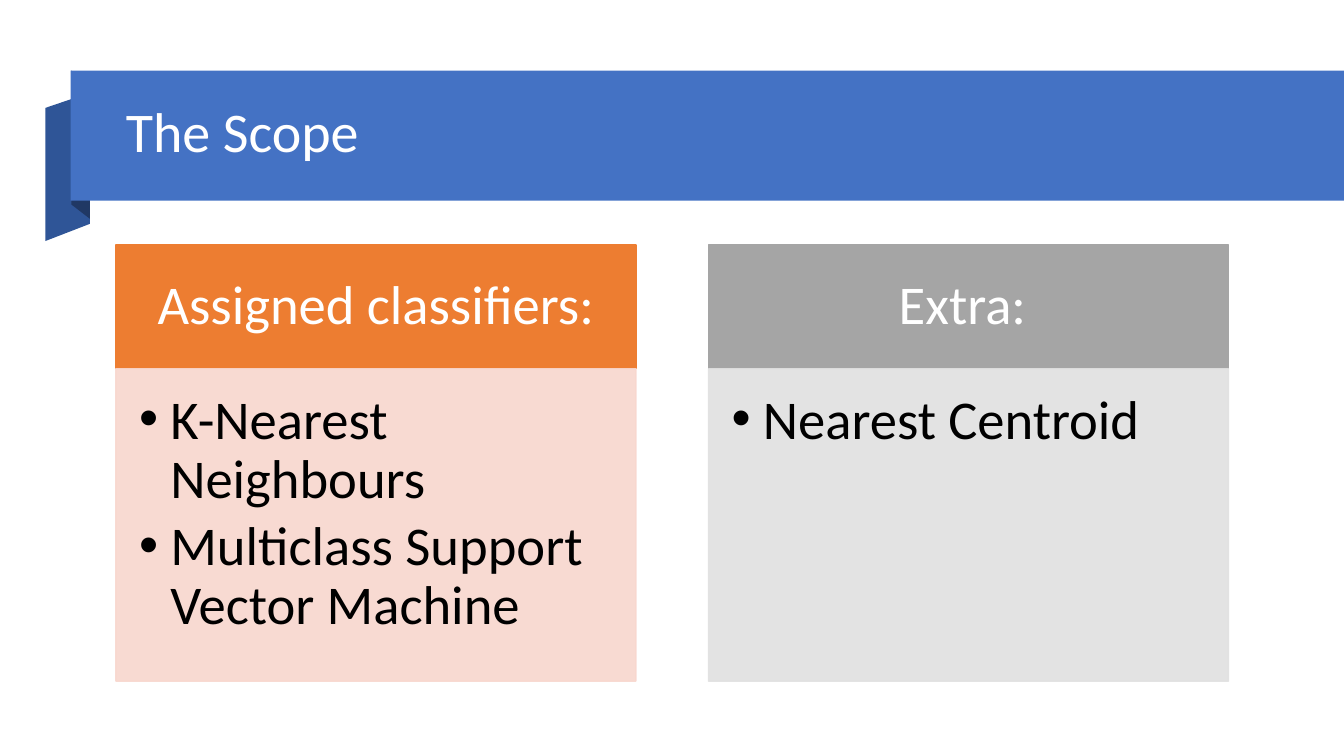
from dataclasses import dataclass

from lxml import etree
from pptx import Presentation
from pptx.dml.color import RGBColor
from pptx.enum.shapes import MSO_SHAPE
from pptx.enum.text import MSO_ANCHOR, PP_ALIGN
from pptx.oxml.ns import qn
from pptx.util import Inches, Pt

RECT = MSO_SHAPE.RECTANGLE
TOP, MIDDLE = MSO_ANCHOR.TOP, MSO_ANCHOR.MIDDLE
LEFT, CENTER = PP_ALIGN.LEFT, PP_ALIGN.CENTER
COLS, ROWS = 32, 18


@dataclass(frozen=True)
class Theme:
    font: str = "Calibri"
    title: int = 40
    text: int = 39
    white: str = "FFFFFF"
    black: str = "000000"
    ribbon: str = "4472C4"
    fold: str = "2F5597"
    shade: str = "203864"
    orange: str = "ED7D31"
    peach: str = "F8D7CE"
    gray: str = "A5A5A5"
    silver: str = "E1E1E1"


class Deck:
    """Draw styled elements on one slide, placed in grid columns and rows."""

    def __init__(self, theme):
        self.theme = theme
        self.file = Presentation()
        self.file.slide_width = Inches(13.33)
        self.file.slide_height = Inches(7.5)
        self.slide = self.file.slides.add_slide(self.file.slide_layouts[6])
        self.shapes = self.slide.shapes

    def spot(self, col, row):
        return (round(self.file.slide_width * col / COLS),
                round(self.file.slide_height * row / ROWS))

    def paint(self, shape, color, edge=False, alpha=None):
        shape.shadow.inherit = False
        fills = [shape.fill]
        if edge:
            shape.line.width = Pt(1)
            fills.append(shape.line.fill)
        else:
            shape.line.fill.background()
        for fill in fills:
            fill.solid()
            fill.fore_color.rgb = RGBColor.from_string(color)
        if alpha:
            for tint in shape.element.spPr.iter(qn("a:srgbClr")):
                etree.SubElement(tint, qn("a:alpha"), val=str(alpha * 1000))

    def outline(self, points, color):
        first, *rest = [self.spot(*point) for point in points]
        pen = self.shapes.build_freeform(*first)
        pen.add_line_segments(rest, close=True)
        self.paint(pen.convert_to_shape(), color)

    def box(self, col, row, wide, high, color, **look):
        shape = self.shapes.add_shape(
            RECT, *self.spot(col, row), *self.spot(wide, high))
        self.paint(shape, color, **look)
        return shape

    def label(self, col, row, wide, high):
        return self.shapes.add_textbox(
            *self.spot(col, row), *self.spot(wide, high))

    def set_text(self, shape, lines, size, color, pad,
                 align=LEFT, anchor=MIDDLE, bullet=False):
        frame = shape.text_frame
        frame.word_wrap = True
        frame.vertical_anchor = anchor
        (frame.margin_left, frame.margin_top,
         frame.margin_right, frame.margin_bottom) = map(Inches, pad)
        for i, line in enumerate(lines):
            para = frame.add_paragraph() if i else frame.paragraphs[0]
            para.alignment = align
            para.line_spacing = 0.9
            if bullet:
                para.space_after = Pt(6)
                self.mark(para)
            run = para.add_run()
            run.text = line
            run.font.name = self.theme.font
            run.font.size = Pt(size)
            run.font.color.rgb = RGBColor.from_string(color)

    def mark(self, para):
        props = para._p.get_or_add_pPr()
        props.set("marL", str(Inches(0.31)))
        props.set("indent", str(Inches(-0.31)))
        etree.SubElement(props, qn("a:buFont"), typeface="Arial")
        etree.SubElement(props, qn("a:buChar"), char="•")

    def card(self, col, head, items, dark, pale):
        top = self.box(col, 5.83, 12.38, 2.95, dark, edge=True)
        self.set_text(top, [head], self.theme.text, self.theme.white,
                      (0.3, 0.17, 0.3, 0.17), align=CENTER)
        body = self.box(col, 8.78, 12.38, 7.44, pale, edge=True, alpha=90)
        self.set_text(body, items, self.theme.text, self.theme.black,
                      (0.23, 0.23, 0.3, 0.34), anchor=TOP, bullet=True)


def main():
    theme = Theme()
    deck = Deck(theme)
    deck.outline([(2.14, 5.33), (1.08, 5.74), (1.08, 2.57), (2.14, 2.21)],
                 theme.fold)
    deck.outline([(2.14, 5.21), (1.7, 4.87), (1.7, 1.68), (2.14, 2.04)],
                 theme.shade)
    deck.box(1.68, 1.68, COLS - 1.68, 3.1, theme.ribbon)
    deck.set_text(deck.label(2.76, 2.06, 27.05, 2.3), ["The Scope"],
                  theme.title, theme.white, (0.1, 0.05, 0.1, 0.05))
    cards = [
        ("Assigned classifiers:",
         ["K-Nearest Neighbours", "Multiclass Support Vector Machine"],
         theme.orange, theme.peach),
        ("Extra: ", ["Nearest Centroid"], theme.gray, theme.silver),
    ]
    for i, card in enumerate(cards):
        deck.card(2.76 + 14.11 * i, *card)
    deck.file.save("out.pptx")


if __name__ == "__main__":
    main()
